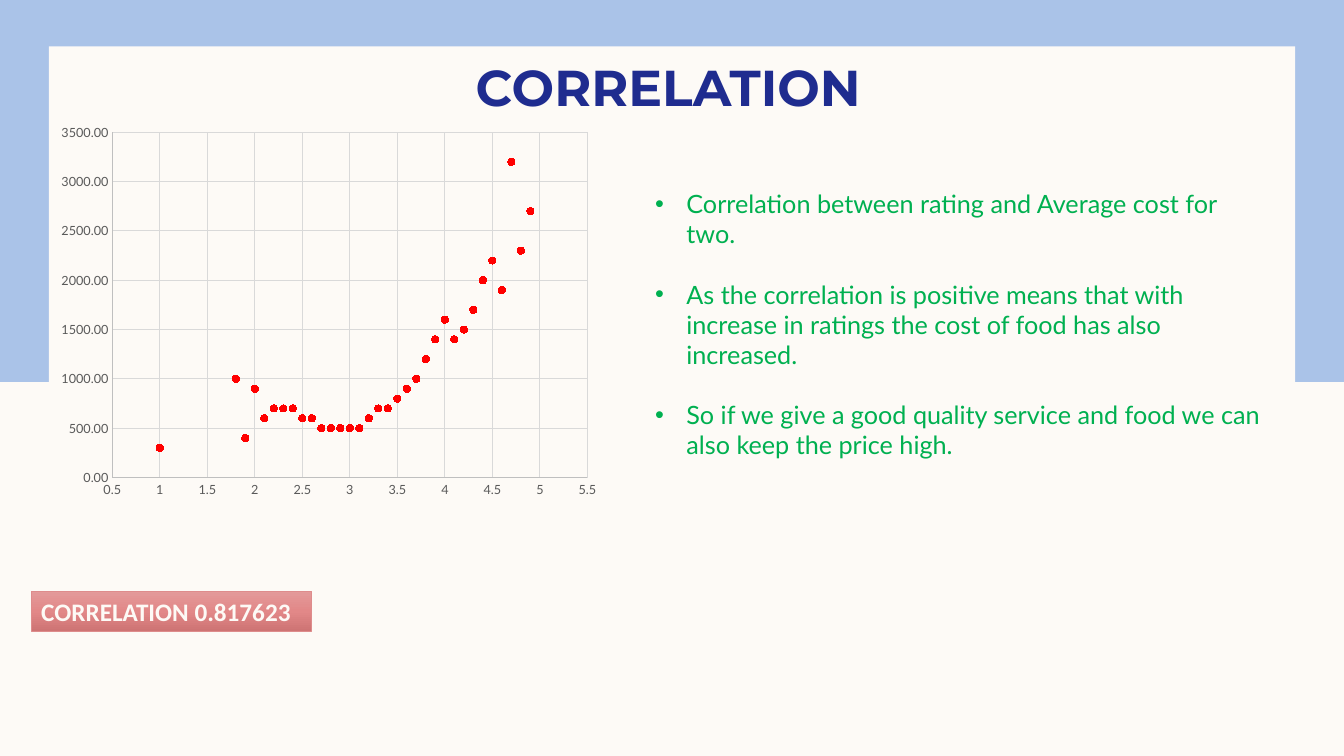
"""Build the slide relating restaurant ratings to the average cost for two."""
from copy import deepcopy
from dataclasses import dataclass

from lxml.etree import SubElement
from pptx import Presentation
from pptx.chart.data import XyChartData
from pptx.dml.color import RGBColor
from pptx.enum.chart import XL_CHART_TYPE as ChartType, XL_MARKER_STYLE as Marker
from pptx.enum.chart import XL_TICK_MARK as TickMark
from pptx.enum.shapes import MSO_SHAPE as ShapeKind
from pptx.enum.text import MSO_ANCHOR as Anchor, PP_ALIGN as Align
from pptx.oxml import parse_xml
from pptx.oxml.ns import nsdecls, qn
from pptx.util import Inches, Pt

COLORS = {
    "paper": "FDFAF6", "band": "AAC3E8", "title": "1F2C8F", "bullet": "00B050",
    "dot": "FF0000", "label": "595959", "axis": "BFBFBF", "grid": "D9D9D9",
    "badge_top": "E39A9A", "badge_mid": "E28888", "badge_end": "CE7474",
    "badge_line": "DE8C8C",
}
WIDTH, HEIGHT = Inches(13.33), Inches(7.5)


@dataclass(frozen=True)
class Area:
    """Position and size in percent of the slide."""
    left: float
    top: float
    width: float
    height: float

    def box(self) -> tuple:
        return (int(WIDTH * self.left / 100), int(HEIGHT * self.top / 100),
                int(WIDTH * self.width / 100), int(HEIGHT * self.height / 100))


@dataclass(frozen=True)
class Panel:
    area: Area
    color: str


@dataclass(frozen=True)
class AxisStyle:
    low: float
    high: float
    step: float
    number_format: str


PANELS = (
    Panel(Area(0, 0, 100, 50.53), "band"),
    Panel(Area(3.64, 6.13, 92.72, 87.87), "paper"),
)
TITLE_AREA = Area(6.58, 6.4, 86.27, 9.07)
CHART_AREA = Area(3.78, 15.45, 41.6, 51.33)
BULLET_AREA = Area(48.01, 24.27, 47.26, 49.87)
BADGE_AREA = Area(2.33, 78.18, 20.86, 5.33)
PLOT_SHARES = {"x": 0.11, "y": 0.04, "w": 0.85, "h": 0.89}
RATING_AXIS = AxisStyle(0.5, 5.5, 0.5, "General")
COST_AXIS = AxisStyle(0, 3500, 500, "0.00")
BULLETS = (
    "Correlation between rating and Average cost for two.",
    "As the correlation is positive means that with increase in ratings "
    "the cost of food has also increased.",
    "So if we give a good quality service and food we can also keep the price high.",
)
RATINGS = [tenths / 10 for tenths in range(49, 17, -1)] + [1]
COSTS = (
    2700, 2300, 3200, 1900, 2200, 2000, 1700, 1500, 1400, 1600, 1400,
    1200, 1000, 900, 800, 700, 700, 600, 500, 500, 500, 500,
    500, 600, 600, 700, 700, 700, 600, 900, 400, 1000, 300,
)


def rgb(name: str) -> RGBColor:
    return RGBColor.from_string(COLORS[name])


def style_font(font, face: str, size: float, color: str, bold: bool = False) -> None:
    font.name, font.size, font.bold = face, Pt(size), bold
    font.color.rgb = rgb(color)


def style_line(line, color: str, width: float) -> None:
    line.color.rgb = rgb(color)
    line.width = Pt(width)


def add_panel(page, panel: Panel) -> None:
    shape = page.shapes.add_shape(ShapeKind.RECTANGLE, *panel.area.box())
    shape.shadow.inherit = False
    shape.fill.solid()
    shape.fill.fore_color.rgb = rgb(panel.color)
    shape.line.fill.background()


def place_title(page, text: str) -> None:
    title = page.shapes.title
    page.shapes.element.append(title.element)
    title.left, title.top, title.width, title.height = TITLE_AREA.box()
    frame = title.text_frame
    frame.text = text
    frame.vertical_anchor = Anchor.BOTTOM
    frame.margin_top = frame.margin_bottom = 0
    para = frame.paragraphs[0]
    para.alignment = Align.CENTER
    style_font(para.runs[0].font, "Montserrat", 36, "title", True)


def style_axis(axis, style: AxisStyle) -> None:
    axis.minimum_scale, axis.maximum_scale = style.low, style.high
    axis.major_unit = style.step
    axis.major_tick_mark = axis.minor_tick_mark = TickMark.NONE
    axis.has_major_gridlines = True
    style_line(axis.major_gridlines.format.line, "grid", 0.75)
    style_line(axis.format.line, "axis", 0.75)
    axis.tick_labels.number_format = style.number_format
    axis.tick_labels.number_format_is_linked = False
    style_font(axis.tick_labels.font, "Lato", 9, "label")


def fix_plot_area(chart) -> None:
    plot_area = chart.element.find(".//" + qn("c:plotArea"))
    for old in plot_area.findall(qn("c:layout")):
        plot_area.remove(old)
    layout = parse_xml(f"<c:layout {nsdecls('c')}><c:manualLayout/></c:layout>")
    settings = {"layoutTarget": "inner", "xMode": "edge", "yMode": "edge", **PLOT_SHARES}
    for tag, value in settings.items():
        SubElement(layout[0], qn(f"c:{tag}")).set("val", str(value))
    plot_area.insert(0, layout)


def add_scatter(page) -> None:
    data = XyChartData()
    points = data.add_series("Series 1")
    for rating, cost in zip(RATINGS, COSTS):
        points.add_data_point(rating, cost)
    chart = page.shapes.add_chart(ChartType.XY_SCATTER, *CHART_AREA.box(), data).chart
    chart.has_legend = chart.has_title = False
    style_font(chart.font, "Lato", 10, "label")
    chart.plots[0].vary_by_categories = False
    series = chart.plots[0].series[0]
    series.format.line.fill.background()
    series.marker.style, series.marker.size = Marker.CIRCLE, 5
    series.marker.format.fill.solid()
    series.marker.format.fill.fore_color.rgb = rgb("dot")
    style_line(series.marker.format.line, "dot", 0.75)
    style_axis(chart.category_axis, RATING_AXIS)
    style_axis(chart.value_axis, COST_AXIS)
    fix_plot_area(chart)


def add_bullets(page) -> None:
    frame = page.shapes.add_textbox(*BULLET_AREA.box()).text_frame
    frame.word_wrap = True
    frame.text = "\n".join(BULLETS)
    for index, para in enumerate(frame.paragraphs):
        properties = para._p.get_or_add_pPr()
        properties.set("marL", str(Inches(0.31)))
        properties.set("indent", str(-Inches(0.31)))
        SubElement(properties, qn("a:buFont")).set("typeface", "Arial")
        SubElement(properties, qn("a:buChar")).set("char", "•")
        if index:
            para.space_before = Pt(21.4)
        style_font(para.runs[0].font, "Lato", 18, "bullet")


def add_badge(page, text: str) -> None:
    badge = page.shapes.add_shape(ShapeKind.RECTANGLE, *BADGE_AREA.box())
    badge.shadow.inherit = False
    badge.fill.gradient()
    badge.fill.gradient_angle = 270
    stops = badge.element.find(".//" + qn("a:gsLst"))
    stops.insert(1, deepcopy(stops[0]))
    for index, name in enumerate(("badge_top", "badge_mid", "badge_end")):
        stop = badge.fill.gradient_stops[index]
        stop.position, stop.color.rgb = index / 2, rgb(name)
    style_line(badge.line, "badge_line", 0.5)
    frame = badge.text_frame
    frame.word_wrap = False
    frame.vertical_anchor = Anchor.TOP
    frame.text = text
    para = frame.paragraphs[0]
    para.alignment = Align.LEFT
    span = para.runs[0]
    style_font(span.font, "Calibri", 18, "paper", True)
    outline = parse_xml(
        f'<a:ln {nsdecls("a")} w="{Pt(0.75)}"><a:solidFill>'
        f'<a:srgbClr val="{COLORS["paper"]}"/></a:solidFill></a:ln>')
    span._r.get_or_add_rPr().insert(0, outline)


def main() -> None:
    deck = Presentation()
    deck.slide_width, deck.slide_height = WIDTH, HEIGHT
    page = deck.slides.add_slide(deck.slide_layouts[5])
    page.background.fill.solid()
    page.background.fill.fore_color.rgb = rgb("paper")
    for panel in PANELS:
        add_panel(page, panel)
    place_title(page, "CORRELATION")
    add_scatter(page)
    add_bullets(page)
    add_badge(page, "CORRELATION 0.817623")
    deck.save("out.pptx")


if __name__ == "__main__":
    main()
